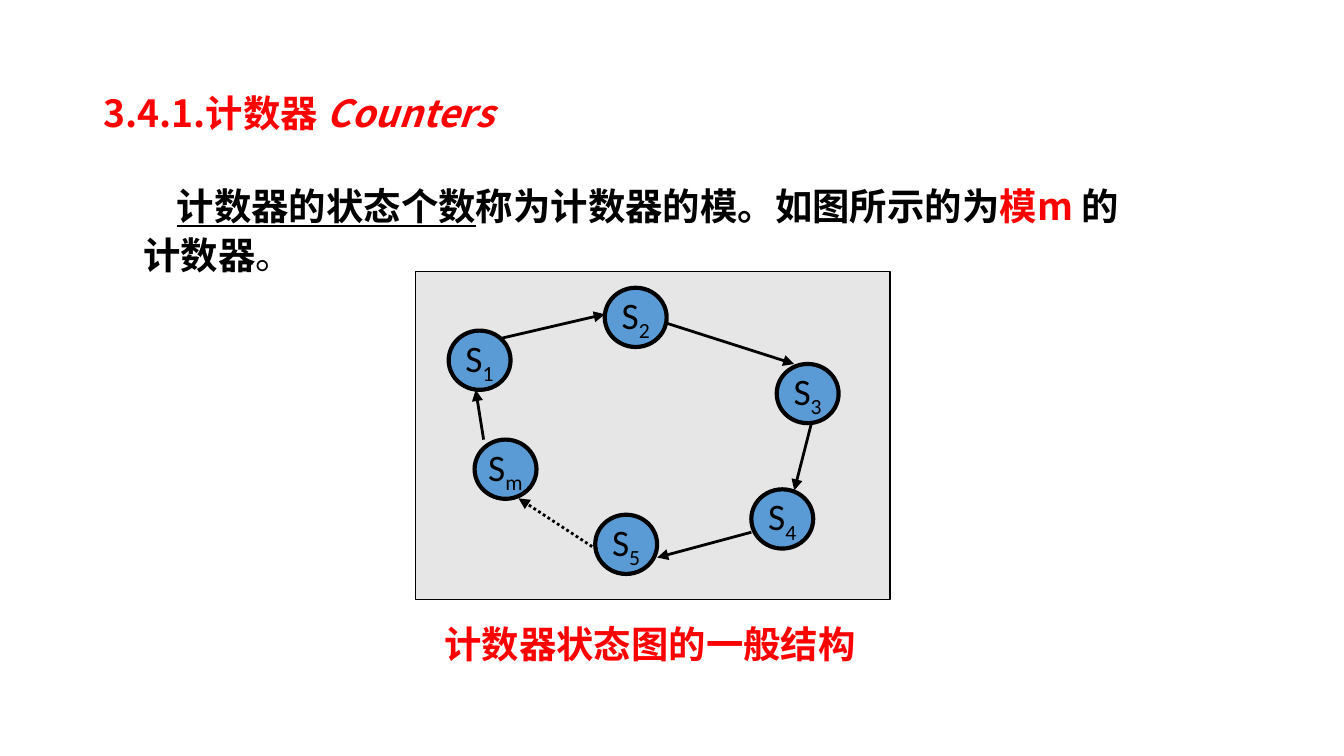
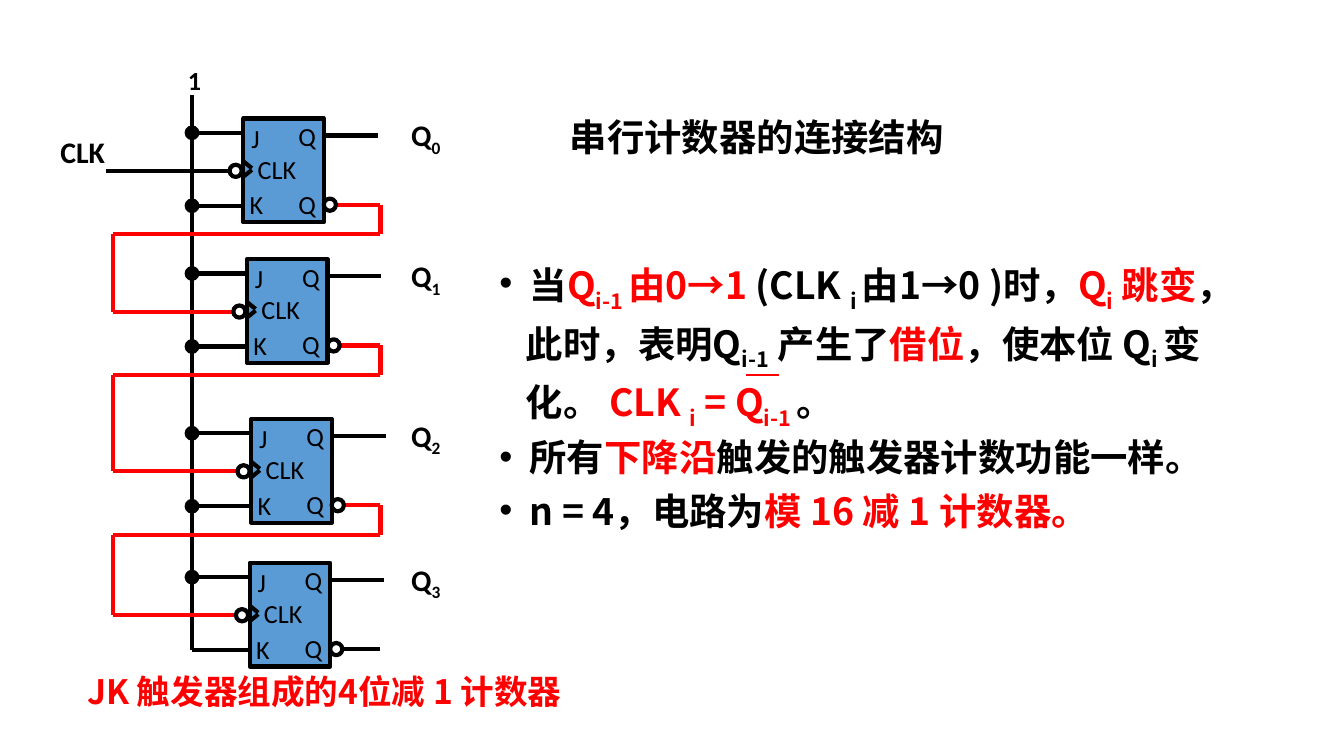
from dataclasses import dataclass
from itertools import pairwise

from pptx import Presentation
from pptx.dml.color import RGBColor
from pptx.enum.dml import MSO_LINE_DASH_STYLE as Dash
from pptx.enum.shapes import MSO_CONNECTOR_TYPE as Link, MSO_SHAPE as Shape
from pptx.enum.text import MSO_ANCHOR as Anchor, MSO_AUTO_SIZE as AutoSize, PP_ALIGN as Align
from pptx.oxml.ns import qn
from pptx.util import Cm, Pt
from lxml.etree import SubElement


@dataclass(frozen=True)
class Theme:
    black: RGBColor = RGBColor(0x00, 0x00, 0x00)
    red: RGBColor = RGBColor(0xFF, 0x00, 0x00)
    blue: RGBColor = RGBColor(0x5B, 0x9B, 0xD5)
    gray: RGBColor = RGBColor(0xE7, 0xE6, 0xE6)
    han: str = "Noto Sans CJK JP"
    latin: str = "Calibri"
    body: int = 20
    caption: int = 18
    label: int = 16
    pin: int = 14
    thin: float = 0.75
    arrow: float = 1.5
    wire: float = 2.25


class Painter:
    """Holds the theme and the current slide.

    Spans are (text, marks): b bold, i italic, u underline, r red, - subscript.
    """

    def __init__(self, deck, theme):
        self.deck, self.theme, self.page = deck, theme, None

    def new_page(self):
        self.page = self.deck.slides.add_slide(self.deck.slide_layouts[6])

    def add_spans(self, para, spans, size, font):
        for text, marks in spans:
            span = para.add_run()
            span.text = text
            style = span.font
            style.name, style.size = font, Pt(size)
            style.color.rgb = self.theme.red if "r" in marks else self.theme.black
            style.bold = "b" in marks
            style.italic = "i" in marks
            style.underline = "u" in marks
            if "-" in marks:
                style._element.set("baseline", "-25000")

    def indent(self, para, left, first=0, bullet=None):
        props = para._p.get_or_add_pPr()
        props.set("marL", str(Cm(left)))
        props.set("indent", str(Cm(first)))
        if bullet:
            SubElement(props, qn("a:buFont"), typeface="Arial")
            SubElement(props, qn("a:buChar"), char=bullet)

    def text(self, left, top, width, height, spans, size=None, font=None, align=Align.LEFT,
             spacing=None, wrap=True, grow=True):
        box = self.page.shapes.add_textbox(Cm(left), Cm(top), Cm(width), Cm(height))
        frame = box.text_frame
        frame.word_wrap = wrap
        frame.auto_size = AutoSize.SHAPE_TO_FIT_TEXT if grow else AutoSize.NONE
        para = frame.paragraphs[0]
        para.alignment = align
        if spacing:
            para.line_spacing = spacing
        self.add_spans(para, spans, size or self.theme.body, font or self.theme.han)
        return frame

    def title(self, left, top, width, height, spans):
        self.text(left, top, width, height, spans, spacing=0.9, grow=False)

    def label(self, left, top, width, spans, size):
        self.text(left, top, width, 0.84, spans, size, self.theme.latin)

    def shape(self, kind, left, top, width, height, fill=None, weight=None):
        shape = self.page.shapes.add_shape(kind, Cm(left), Cm(top), Cm(width), Cm(height))
        shape.shadow.inherit = False
        if fill is None:
            shape.fill.background()
        else:
            shape.fill.solid()
            shape.fill.fore_color.rgb = fill
        shape.line.color.rgb = self.theme.black
        shape.line.width = Pt(weight or self.theme.wire)
        return shape

    def state(self, left, top, index):
        circle = self.shape(Shape.OVAL, left, top, 1.17, 1.12, self.theme.blue)
        frame = circle.text_frame
        frame.word_wrap = False
        frame.vertical_anchor = Anchor.MIDDLE
        para = frame.paragraphs[0]
        para.alignment = Align.CENTER
        self.add_spans(para, [("S", ""), (index, "-")], self.theme.body, self.theme.latin)

    def line(self, start, end, color=None, weight=None, arrow=False, dash=None):
        ends = [Cm(value) for value in (*start, *end)]
        line = self.page.shapes.add_connector(Link.STRAIGHT, *ends)
        line.line.color.rgb = color or self.theme.black
        line.line.width = Pt(weight or self.theme.wire)
        if dash:
            line.line.dash_style = dash
        if arrow:
            SubElement(line.line._get_or_add_ln(), qn("a:tailEnd"), type="triangle")
        SubElement(line._element.spPr, qn("a:effectLst"))

    def route(self, points, color):
        for start, end in pairwise(points):
            self.line(start, end, color)


def state_diagram_page(painter):
    theme = painter.theme
    painter.new_page()
    painter.title(1.7, 1.68, 13.97, 1.12, [("3.4.1.计数器 ", "br"), ("Counters", "bri")])
    frame = painter.text(2.46, 3.25, 19.63, 2.13, [
        ("计数器的状态个数", "bu"), ("称为计数器的模。如图所示的为", "b"),
        ("模m ", "br"), ("的计数器", "b"), ("。", "")], spacing=1.1)
    painter.indent(frame.paragraphs[0], 0, 0.63)

    # State ring
    painter.shape(Shape.RECTANGLE, 7.85, 5.13, 8.97, 6.2, theme.gray, theme.thin)
    states = {"1": (8.48, 6.25), "2": (11.43, 5.44), "3": (14.68, 6.88),
              "4": (14.2, 9.25), "5": (11.25, 9.73), "m": (8.97, 8.31)}
    for index, (left, top) in states.items():
        painter.state(left, top, index)

    # Transitions
    transitions = [((9.14, 8.31), (8.99, 7.37)), ((9.45, 6.4), (11.43, 5.94)),
                   ((12.57, 6.1), (15.01, 6.88)), ((15.34, 7.98), (15.01, 9.27)),
                   ((14.2, 10.06), (12.42, 10.54))]
    for start, end in transitions:
        painter.line(start, end, weight=theme.arrow, arrow=True)
    painter.line((11.28, 10.39), (9.8, 9.42), weight=theme.arrow, arrow=True,
                 dash=Dash.ROUND_DOT)
    painter.text(8.15, 11.61, 8.31, 1.12, [("计数器状态图的一般结构", "br")], wrap=False)


# Flip-flop geometry, measured from the top left corner of its block
BLOCK_WIDTH, BLOCK_HEIGHT = 1.52, 1.96
J_ROW, Q_ROW, CLOCK_ROW, INVERTED_ROW, K_ROW = 0.27, 0.32, 0.99, 1.63, 1.65
BUBBLE, DOT = 0.23, 0.2
BUS, LOOP_LEFT, LOOP_RIGHT, LOOP_DROP = 3.63, 2.13, 7.19, 2.19
PINS = [("J", -0.1, -0.06, 0.89), ("CLK", 0.02, 0.53, 1.75), ("Q", 0.79, -0.09, 0.76),
        ("Q", 0.79, 1.19, 0.76), ("K", -0.13, 1.2, 0.66)]


def flip_flop(painter, left, top, index):
    theme = painter.theme
    right = left + BLOCK_WIDTH
    for row in (J_ROW, K_ROW):
        painter.line((BUS, top + row), (left, top + row))
    painter.line((right, top + Q_ROW), (right + 1.02, top + Q_ROW))
    painter.shape(Shape.FLOWCHART_PROCESS, left, top, BLOCK_WIDTH, BLOCK_HEIGHT, theme.blue)
    painter.line((left, top + 0.81), (left + 0.16, top + 0.94))
    painter.line((left + 0.16, top + 0.97), (left, top + 1.1))
    for name, dx, dy, width in PINS:
        painter.label(left + dx, top + dy, width, [(name, "")], theme.pin)
    painter.shape(Shape.OVAL, left - 0.26, top + CLOCK_ROW - BUBBLE / 2, BUBBLE, BUBBLE)
    painter.shape(Shape.OVAL, right, top + INVERTED_ROW - BUBBLE / 2, BUBBLE, BUBBLE)
    painter.label(7.52, top - 0.15, 1.4, [("Q", "b"), (str(index), "b-")], theme.label)


def ripple_circuit(painter):
    theme = painter.theme
    blocks = [(4.6, 2.24), (4.67, 4.9), (4.75, 7.92), (4.72, 10.64)]
    last_left, last_top = blocks[-1]

    # Shared high level and clock input
    painter.line((BUS, 1.8), (BUS, last_top + K_ROW))
    first_left, first_top = blocks[0]
    painter.line((2.01, first_top + CLOCK_ROW), (first_left - 0.26, first_top + CLOCK_ROW))
    painter.label(3.3, 1.09, 0.84, [("1", "b")], theme.pin)
    painter.label(0.89, 2.41, 2.01, [("CLK", "b")], theme.label)

    # Inverted output of each stage clocks the next one
    for (left, top), (next_left, next_top) in pairwise(blocks):
        output, clock = top + INVERTED_ROW, next_top + CLOCK_ROW
        painter.route([(left + BLOCK_WIDTH + BUBBLE, output), (LOOP_RIGHT, output),
                       (LOOP_RIGHT, top + LOOP_DROP), (LOOP_LEFT, top + LOOP_DROP),
                       (LOOP_LEFT, clock), (next_left - 0.26, clock)], theme.red)
    last_output = last_top + INVERTED_ROW
    painter.line((last_left + BLOCK_WIDTH + BUBBLE, last_output), (LOOP_RIGHT, last_output))

    # Stages and bus junctions
    for index, (left, top) in enumerate(blocks):
        flip_flop(painter, left, top, index)
    junctions = [top + row for left, top in blocks for row in (J_ROW, K_ROW)]
    for level in junctions[:-1]:
        painter.shape(Shape.OVAL, BUS - DOT / 2, level - DOT / 2, DOT, DOT, theme.black)


def ripple_counter_page(painter):
    theme = painter.theme
    painter.new_page()
    painter.title(10.52, 2.13, 9.6, 1.4, [("串行计数器的连接结构", "b")])
    painter.text(0.81, 12.55, 10.64, 1.02, [("JK 触发器组成的4位减 1 计数器", "br")],
                 theme.caption, align=Align.CENTER)

    # Explanation: (has bullet, spans)
    notes = [
        (True, [("当", "b"), ("Q", "br"), ("i-1 ", "br-"), ("由0→1 ", "br"), ("(CLK ", "b"),
                ("i ", "b-"), ("由1→0 )时，", "b"), ("Q", "br"), ("i", "br-"),
                (" 跳变", "br"), ("，", "b")]),
        (False, [("此时，表明Q", "b"), ("i-1", "b-"), (" 产生了", "b"), ("借位", "br"),
                 ("，使本位 Q", "b"), ("i ", "b-"), ("变", "b")]),
        (False, [("化。 ", "b"), ("CLK ", "br"), ("i", "br-"), (" = Q", "br"),
                 ("i-1 ", "br-"), ("。", "b")]),
        (True, [("所有", "b"), ("下降沿", "br"), ("触发的触发器计数功能一样。", "b")]),
        (True, [("n = 4，电路为", "b"), ("模 16 减 1 计数器。", "br")]),
    ]
    frame = painter.text(9.19, 4.93, 15.9, 5.38, [])
    for number, (bulleted, spans) in enumerate(notes):
        para = frame.add_paragraph() if number else frame.paragraphs[0]
        para.line_spacing = 0.8
        if number:
            para.space_before = Pt(9.5)
        if bulleted:
            painter.indent(para, 0.57, -0.57, "•")
        else:
            painter.indent(para, 0.5)
        painter.add_spans(para, spans, theme.body, theme.han)
    painter.line((14.1, 7.09), (14.73, 7.09), theme.red, theme.arrow)

    ripple_circuit(painter)


def main():
    deck = Presentation()
    deck.slide_width, deck.slide_height = Cm(25.4), Cm(14.29)
    painter = Painter(deck, Theme())
    state_diagram_page(painter)
    ripple_counter_page(painter)
    deck.save("out.pptx")


if __name__ == "__main__":
    main()
